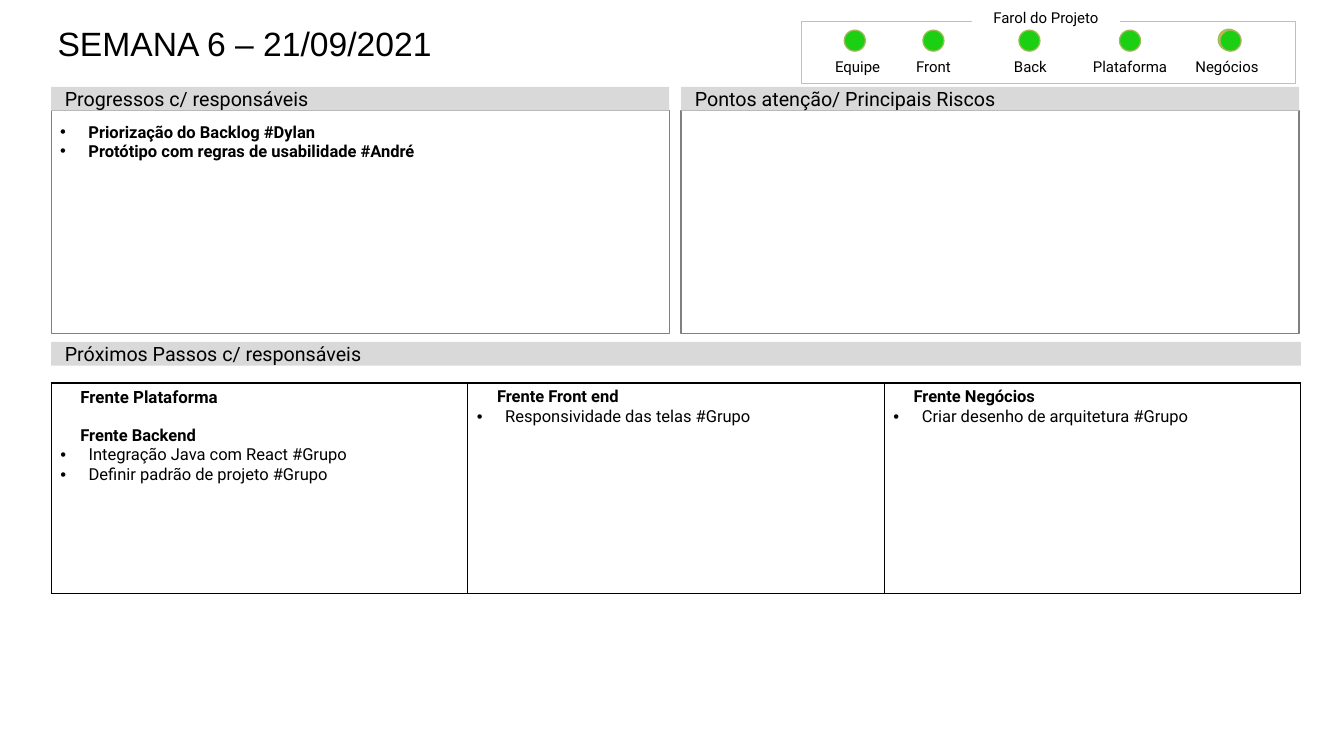
from lxml.etree import SubElement
from pptx import Presentation
from pptx.dml.color import RGBColor
from pptx.enum.shapes import MSO_SHAPE as SHAPE
from pptx.enum.text import MSO_ANCHOR as ANCHOR, PP_ALIGN as ALIGN
from pptx.oxml import parse_xml
from pptx.oxml.ns import nsdecls, qn
from pptx.util import Inches, Pt

COLORS = {"text": "000000", "band": "D9D9D9", "frame": "808080", "panel": "BFBFBF",
          "green": "1BCF13", "amber": "FFC000", "ring": "9BBB59", "paper": "FFFFFF"}
COLS, ROWS = 147, 82.7
BAND_H = 2.6
LAMP = 2.3
LABEL_W = 9.8


def grid(*units):
    """Turn grid units, tenths of an inch, into lengths."""
    return [Inches(u / 10) for u in units]


def color(name):
    """Look up a palette colour."""
    return RGBColor.from_string(COLORS[name])


def add_box(s, box, fill=None, line=None, width=1, kind=SHAPE.RECTANGLE):
    """Add a preset shape with an optional fill and outline."""
    sp = s.shapes.add_shape(kind, *grid(*box))
    sp.shadow.inherit = False
    if fill:
        sp.fill.solid()
        sp.fill.fore_color.rgb = color(fill)
    else:
        sp.fill.background()
    if line:
        sp.line.color.rgb = color(line)
        sp.line.width = Pt(width)
    else:
        sp.line.fill.background()
    return sp


def set_frame(tf, anchor, insets, wrap=True):
    """Set anchor, wrapping and insets (left, top, right, bottom)."""
    tf.vertical_anchor, tf.word_wrap = anchor, wrap
    tf.margin_left, tf.margin_top, tf.margin_right, tf.margin_bottom = grid(*insets)


def style(p, size, bold=False, font="Roboto", align=ALIGN.LEFT):
    """Format a paragraph and its runs."""
    p.alignment = align
    for r in p.runs:
        r.font.name, r.font.size, r.font.bold = font, Pt(size), bold
        r.font.color.rgb = color("text")


def indent(p, left, bullet=False):
    """Indent a paragraph, hanging a bullet in the indent if asked."""
    pPr = p._p.get_or_add_pPr()
    margin, = grid(left)
    pPr.set("marL", str(margin))
    pPr.set("indent", str(-margin if bullet else 0))
    if bullet:
        SubElement(pPr, qn("a:buFont")).set("typeface", "Arial")
        SubElement(pPr, qn("a:buChar")).set("char", "•")
    else:
        SubElement(pPr, qn("a:buNone"))


def add_items(tf, items):
    """Write (text, bullet, bold, size, space before) items as paragraphs."""
    for i, (text, bullet, bold, size, before) in enumerate(items):
        p = tf.paragraphs[0] if i == 0 else tf.add_paragraph()
        p.text = text
        style(p, size, bold)
        indent(p, 3.1 if bullet else 2.2, bullet)
        p.space_before = Pt(before)


def add_title(s, box, text):
    """Add the week title."""
    tf = s.shapes.add_textbox(*grid(*box)).text_frame
    set_frame(tf, ANCHOR.TOP, (1.2, 0.5, 1.2, 0))
    tf.text = text
    style(tf.paragraphs[0], 26.5, font="Arial")


def add_band(s, box, text):
    """Add a grey heading band."""
    tf = add_box(s, box, "band").text_frame
    set_frame(tf, ANCHOR.MIDDLE, (1.5, 0.7, 1.5, 0.7))
    tf.text = text
    style(tf.paragraphs[0], 15.5)


def add_section(s, box, heading, items=()):
    """Add a heading band over a framed list."""
    x, y, w, h = box
    tf = add_box(s, (x, y + BAND_H, w, h - BAND_H), line="frame").text_frame
    set_frame(tf, ANCHOR.TOP, (1, 1.2, 1, 0.5))
    add_items(tf, items)
    add_band(s, (x, y, w, BAND_H), heading)


def add_caption(sp, text):
    """Write a small centred caption."""
    tf = sp.text_frame
    set_frame(tf, ANCHOR.BOTTOM, (0.6, 0.6, 0.6, 0), wrap=False)
    tf.text = text
    style(tf.paragraphs[0], 11.8, align=ALIGN.CENTER)


def add_lights(s, box, heading, lights):
    """Add the status panel with (label, label centre, lamp centre) lights."""
    x, y, w, h = box
    add_box(s, box, line="panel", width=0.5)
    add_caption(add_box(s, (x + 18.6, y - 1.7, 16.2, LAMP), "paper"), heading)
    for label, label_x, lamp_x in lights:
        sp = s.shapes.add_textbox(*grid(x + label_x - LABEL_W / 2, y + 4, LABEL_W, 2))
        add_caption(sp, label)
        lamp = (x + lamp_x - LAMP / 2, y + 1, LAMP, LAMP)
        if label == "Negócios":
            under = (lamp[0] - 0.2, lamp[1] - 0.1, LAMP, LAMP)
            add_box(s, under, "amber", "ring", kind=SHAPE.OVAL)
        add_box(s, lamp, "green", "ring", kind=SHAPE.OVAL)


def add_borders(cell):
    """Draw thin black borders around a cell."""
    tcPr = cell._tc.get_or_add_tcPr()
    for i, side in enumerate(("lnL", "lnR", "lnT", "lnB")):
        tcPr.insert(i, parse_xml(
            f'<a:{side} {nsdecls("a")} w="12700"><a:solidFill>'
            f'<a:srgbClr val="{COLORS["text"]}"/></a:solidFill></a:{side}>'))


def add_fronts(s, box, fronts):
    """Add the one-row table of next steps, a column per front."""
    table = s.shapes.add_table(1, len(fronts), *grid(*box)).table
    table.first_row = table.horz_banding = False
    for cell, items in zip(table.rows[0].cells, fronts):
        cell.fill.background()
        add_borders(cell)
        add_items(cell.text_frame, items)


def build_week(prs):
    """Build the weekly status slide."""
    s = prs.slides.add_slide(prs.slide_layouts[6])
    left, full, half, gap = 5.6, 136.7, 67.6, 1.3
    add_title(s, (5.1, 2, 132.3, 8.7), "SEMANA 6 – 21/09/2021")
    add_section(s, (left, 9.5, half, 27), "Progressos c/ responsáveis", [
        ("Priorização do Backlog #Dylan", True, True, 13, 0),
        ("Protótipo com regras de usabilidade #André", True, True, 13, 0)])
    add_section(s, (left + half + gap, 9.5, half, 27), "Pontos atenção/ Principais Riscos")
    add_band(s, (left, 37.4, full, BAND_H), "Próximos Passos c/ responsáveis")
    add_fronts(s, (left, 41.9, full, 23), [
        [("Frente Plataforma", False, True, 13.3, 0),
         ("Frente Backend", False, True, 13, 15),
         ("Integração Java com React #Grupo", True, False, 13, 0),
         ("Definir padrão de projeto #Grupo", True, False, 13, 0)],
        [("Frente Front end", False, True, 13, 0),
         ("Responsividade das telas #Grupo", True, False, 13, 0)],
        [("Frente Negócios", False, True, 13, 0),
         ("Criar desenho de arquitetura #Grupo", True, False, 13, 0)]])
    add_lights(s, (87.7, 2.3, 54, 6.8), "Farol do Projeto", [
        ("Equipe", 6.1, 5.8), ("Front", 14.4, 14.4), ("Back", 25, 24.9),
        ("Plataforma", 35.9, 35.9), ("Negócios", 46.5, 46.9)])


def main():
    """Create and save the presentation."""
    prs = Presentation()
    prs.slide_width, prs.slide_height = grid(COLS, ROWS)
    build_week(prs)
    prs.save("out.pptx")


if __name__ == "__main__":
    main()
